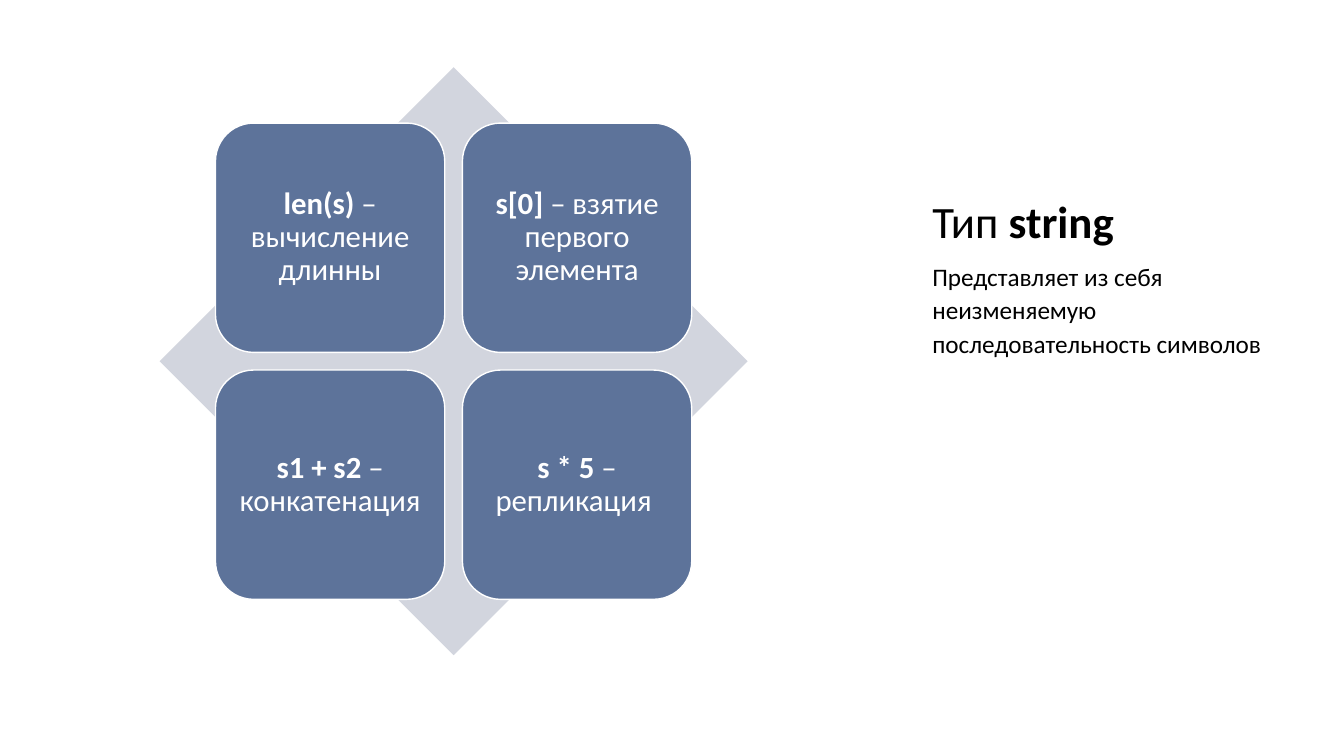
from pptx import Presentation
from pptx.dml.color import RGBColor
from pptx.enum.shapes import MSO_SHAPE
from pptx.enum.text import MSO_ANCHOR, PP_ALIGN
from pptx.util import Pt

DIAMOND, ROUNDED = MSO_SHAPE.DIAMOND, MSO_SHAPE.ROUNDED_RECTANGLE
TOP, MIDDLE, BOTTOM = MSO_ANCHOR.TOP, MSO_ANCHOR.MIDDLE, MSO_ANCHOR.BOTTOM
LEFT, CENTER = PP_ALIGN.LEFT, PP_ALIGN.CENTER
BLACK, WHITE, PALE, SLATE = "000000", "FFFFFF", "D2D5DE", "5D739A"
FONT = "Calibri"
OPERATIONS = [
    ("len(s)", " – вычисление длинны"),
    ("s[0] ", "– взятие первого элемента"),
    ("s1 + s2 ", "– конкатенация"),
    ("s * 5 ", "– репликация "),
]


def rgb(color):
    """Turn a hex string into a colour."""
    return RGBColor.from_string(color)


def write(s, runs, size, color, anchor, align, inset=0):
    """Write (text, bold) runs into a shape and return the paragraph."""
    tf = s.text_frame
    tf.word_wrap = True
    tf.vertical_anchor = anchor
    tf.margin_left = tf.margin_right = tf.margin_top = tf.margin_bottom = Pt(inset)
    p = tf.paragraphs[0]
    p.alignment = align
    for text, bold in runs:
        r = p.add_run()
        r.text = text
        r.font.name = FONT
        r.font.size = Pt(size)
        r.font.bold = bold
        r.font.color.rgb = rgb(color)
    return p


def add_block(slide, kind, x, y, side, fill):
    """Add a square preset shape with a plain fill and no line."""
    s = slide.shapes.add_shape(kind, Pt(x), Pt(y), Pt(side), Pt(side))
    s.shadow.inherit = False
    s.fill.solid()
    s.fill.fore_color.rgb = rgb(fill)
    s.line.fill.background()
    return s


def add_matrix(slide, x, y, side):
    """Place the diamond and its two by two cards in a square box."""
    add_block(slide, DIAMOND, x, y, side, PALE)
    margin, card = side * 0.095, side * 0.39
    step = side - 2 * margin - card
    for i, (code, meaning) in enumerate(OPERATIONS):
        row, col = divmod(i, 2)
        s = add_block(slide, ROUNDED, x + margin + col * step,
                      y + margin + row * step, card, SLATE)
        s.line.color.rgb = rgb(WHITE)
        s.line.width = Pt(1)
        p = write(s, [(code, True), (meaning, False)], 22, WHITE, MIDDLE, CENTER, 6.5)
        p.line_spacing = 0.9


def add_summary(slide, x, y, w, h):
    """Place the heading and the description in a column."""
    title_h, gap = 129.5, 7.5
    s = slide.shapes.add_textbox(Pt(x), Pt(y), Pt(w), Pt(title_h))
    write(s, [("Тип ", False), ("string", True)], 32, BLACK, BOTTOM, LEFT)
    body_y = title_h + gap
    s = slide.shapes.add_textbox(Pt(x), Pt(y + body_y), Pt(w), Pt(h - body_y))
    p = write(s, [("Представляет из себя неизменяемую последовательность символов",
                   False)], 18, BLACK, TOP, LEFT)
    p.line_spacing = 1.1
    p.space_before = Pt(8)


def main():
    """Build and save the slide."""
    prs = Presentation()
    prs.slide_width, prs.slide_height = Pt(960), Pt(540)
    slide = prs.slides.add_slide(prs.slide_layouts[6])
    add_matrix(slide, 114, 48, 420)
    add_summary(slide, 666, 47.5, 249, 420.5)
    prs.save("out.pptx")


if __name__ == "__main__":
    main()
